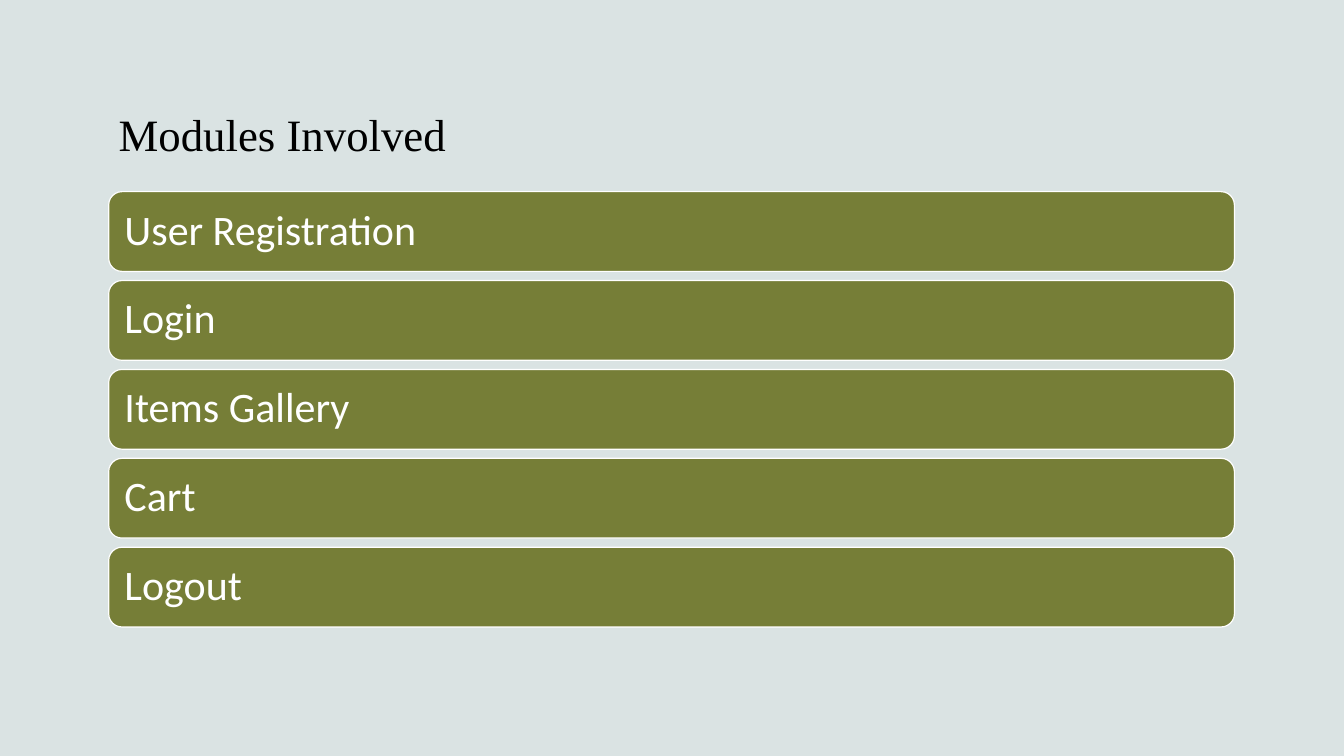
from dataclasses import dataclass

from pptx import Presentation
from pptx.dml.color import RGBColor
from pptx.enum.shapes import MSO_SHAPE
from pptx.enum.text import MSO_ANCHOR, PP_ALIGN
from pptx.slide import Slide
from pptx.text.text import TextFrame
from pptx.util import Cm, Length, Pt

ROUNDED_RECTANGLE = MSO_SHAPE.ROUNDED_RECTANGLE
MIDDLE = MSO_ANCHOR.MIDDLE
BOTTOM = MSO_ANCHOR.BOTTOM
LEFT = PP_ALIGN.LEFT


@dataclass(frozen=True)
class Theme:
    background: RGBColor = RGBColor(0xDA, 0xE3, 0xE3)
    bar: RGBColor = RGBColor(0x76, 0x7E, 0x37)
    white: RGBColor = RGBColor(0xFF, 0xFF, 0xFF)
    black: RGBColor = RGBColor(0x00, 0x00, 0x00)
    title_font: str = "Times New Roman"
    body_font: str = "Calibri"
    title_size: Length = Pt(32)
    body_size: Length = Pt(30)
    outline: Length = Pt(0.85)


@dataclass(frozen=True)
class ModuleBar:
    label: str
    top: Length


THEME = Theme()
MODULES = ("User Registration", "Login", "Items Gallery", "Cart", "Logout")

# Shared column and vertical rhythm of the bars
COLUMN_LEFT = Cm(2.74)
COLUMN_WIDTH = Cm(28.37)
FIRST_BAR_TOP = Cm(4.83)
BAR_HEIGHT = Cm(2.01)
BAR_PITCH = Cm(2.24)
BAR_INSET = Cm(0.3)


def write_text(frame: TextFrame, text: str, font: str, size: Length,
               color: RGBColor, anchor: MSO_ANCHOR) -> None:
    frame.word_wrap = True
    frame.vertical_anchor = anchor
    paragraph = frame.paragraphs[0]
    paragraph.alignment = LEFT
    paragraph.line_spacing = 0.9
    run = paragraph.add_run()
    run.text = text
    run.font.name = font
    run.font.size = size
    run.font.color.rgb = color


def add_title(slide: Slide, text: str) -> None:
    shape = slide.shapes.add_textbox(COLUMN_LEFT, Cm(1.09), COLUMN_WIDTH, Cm(3.1))
    write_text(shape.text_frame, text, THEME.title_font, THEME.title_size,
               THEME.black, BOTTOM)


def add_module_bar(slide: Slide, bar: ModuleBar) -> None:
    shape = slide.shapes.add_shape(
        ROUNDED_RECTANGLE, COLUMN_LEFT, bar.top, COLUMN_WIDTH, BAR_HEIGHT)
    shape.shadow.inherit = False
    shape.fill.solid()
    shape.fill.fore_color.rgb = THEME.bar
    shape.line.color.rgb = THEME.white
    shape.line.width = THEME.outline
    frame = shape.text_frame
    frame.margin_left = frame.margin_right = BAR_INSET
    frame.margin_top = frame.margin_bottom = BAR_INSET
    write_text(frame, bar.label, THEME.body_font, THEME.body_size,
               THEME.white, MIDDLE)


def main() -> None:
    presentation = Presentation()
    presentation.slide_width = Cm(33.87)
    presentation.slide_height = Cm(19.05)
    slide = presentation.slides.add_slide(presentation.slide_layouts[6])

    # Background
    slide.background.fill.solid()
    slide.background.fill.fore_color.rgb = THEME.background

    # Heading
    add_title(slide, "Modules Involved")

    # Stack of module bars
    for index, label in enumerate(MODULES):
        add_module_bar(slide, ModuleBar(label, FIRST_BAR_TOP + index * BAR_PITCH))

    presentation.save("out.pptx")


if __name__ == "__main__":
    main()
